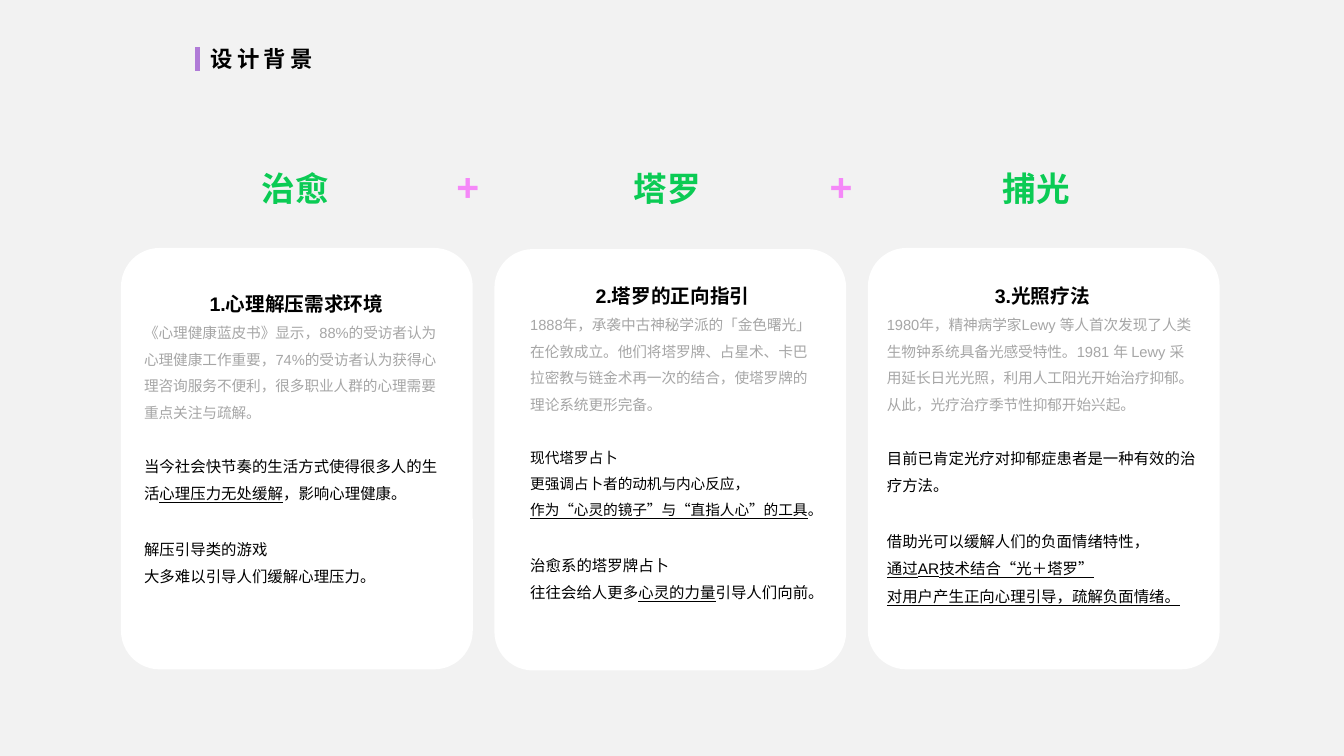
from lxml import etree
from pptx import Presentation
from pptx.dml.color import RGBColor
from pptx.enum.shapes import MSO_CONNECTOR, MSO_SHAPE
from pptx.enum.text import MSO_AUTO_SIZE, PP_ALIGN
from pptx.oxml.ns import qn
from pptx.util import Pt

ROUNDED, STRAIGHT = MSO_SHAPE.ROUNDED_RECTANGLE, MSO_CONNECTOR.STRAIGHT
CENTER, GROW = PP_ALIGN.CENTER, MSO_AUTO_SIZE.SHAPE_TO_FIT_TEXT
BACKGROUND = RGBColor(0xF2, 0xF2, 0xF2)
WHITE = RGBColor(0xFF, 0xFF, 0xFF)
BLACK = RGBColor(0, 0, 0)
GRAY = RGBColor(0xA6, 0xA6, 0xA6)
GREEN = RGBColor(0x0B, 0xCB, 0x54)
PINK = RGBColor(0xF5, 0x88, 0xF8)
PURPLE = RGBColor(0xB0, 0x7B, 0xD7)
LATIN, CJK = "Arial", "Noto Sans CJK SC"

# Body paragraphs: size, space before, runs of (text, underlined)
CARDS = [
    dict(keyword="治愈", keyword_dx=93.6, dy=0, text_box=(9.4, 19.4, 231.8, 226),
         title="1.心理解压需求环境",
         intro="《心理健康蓝皮书》显示，88%的受访者认为心理健康工作重要，74%的受访者认为"
               "获得心理咨询服务不便利，很多职业人群的心理需要重点关注与疏解。",
         body=[(11, 18.8, [("当今社会快节奏的生活方式使得很多人的生活", False),
                           ("心理压力无处缓解", True), ("，影响心理健康。", False)]),
               (11, 19.8, [("解压引导类的游戏", False)]),
               (11, 0, [("大多难以引导人们缓解心理压力。", False)])]),
    dict(keyword="塔罗", keyword_dx=92.6, dy=0.8, text_box=(18.5, 13, 217.4, 242.6),
         title="2.塔罗的正向指引",
         intro="1888年，承袭中古神秘学派的「金色曙光」在伦敦成立。他们将塔罗牌、占星术、"
               "卡巴拉密教与链金术再一次的结合，使塔罗牌的理论系统更形完备。",
         body=[(10.5, 18.8, [("现代塔罗占卜", False)]),
               (10.5, 0, [("更强调占卜者的动机与内心反应，", False)]),
               (10.5, 0, [("作为“心灵的镜子”与“直指人心”的工具", True), ("。", False)]),
               (11, 19.8, [("治愈系的塔罗牌占卜", False)]),
               (11, 0, [("往往会给人更多", False), ("心灵的力量", True),
                        ("引导人们向前。", False)])]),
    dict(keyword="捕光", keyword_dx=89.3, dy=0, text_box=(6.5, 13.7, 236.2, 267),
         title="3.光照疗法",
         intro="1980年，精神病学家Lewy 等人首次发现了人类生物钟系统具备光感受特性。"
               "1981 年 Lewy 采用延长日光光照，利用人工阳光开始治疗抑郁。"
               "从此，光疗治疗季节性抑郁开始兴起。",
         body=[(11, 18.8, [("目前已肯定光疗对抑郁症患者是一种有效的治疗方法。", False)]),
               (11, 19.8, [("借助光可以缓解人们的负面情绪特性，", False)]),
               (11, 0, [("通过AR技术结合“光＋塔罗”", True)]),
               (11, 0, [("对用户产生正向心理引导，疏解负面情绪。", True)])]),
]


def add_run(p, text, size, color, bold=False, underline=False, font=LATIN):
    r = p.add_run()
    r.text = text
    r.font.size, r.font.bold, r.font.name = Pt(size), bold, font
    r.font.color.rgb = color
    if underline:
        r.font.underline = True
    ea = etree.Element(qn("a:ea"), typeface=CJK)
    r.font._element.find(qn("a:latin")).addnext(ea)
    return r


def text_frame(s, x, y, w, h):
    tf = s.shapes.add_textbox(Pt(x), Pt(y), Pt(w), Pt(h)).text_frame
    tf.word_wrap, tf.auto_size = True, GROW
    return tf


def header(s, x, y, w, h):
    # Accent bar and section title
    bar = s.shapes.add_connector(STRAIGHT, Pt(x), Pt(y + 5), Pt(x), Pt(y + 21.6))
    bar.line.color.rgb, bar.line.width = PURPLE, Pt(3)
    etree.SubElement(bar._element.spPr, qn("a:effectLst"))
    p = text_frame(s, x + 2.2, y, w, h).paragraphs[0]
    r = add_run(p, "设计背景", 16, BLACK, bold=True)
    r.font._element.set("spc", "300")


def card(s, x, y, w, h, data):
    # Rounded panel
    y += data["dy"]
    sp = s.shapes.add_shape(ROUNDED, Pt(x), Pt(y), Pt(w), Pt(h))
    sp.adjustments[0] = 0.11
    sp.shadow.inherit = False
    sp.fill.solid()
    sp.fill.fore_color.rgb = WHITE
    sp.line.fill.background()

    # Title, gray introduction and body
    dx, dy, tw, th = data["text_box"]
    tf = text_frame(s, x + dx, y + dy, tw, th)
    p = tf.paragraphs[0]
    p.alignment, p.line_spacing = CENTER, 1.5
    add_run(p, data["title"], 14, BLACK, bold=True)
    p = tf.add_paragraph()
    p.line_spacing = 1.5
    add_run(p, data["intro"], 10.5, GRAY)
    for size, gap, runs in data["body"]:
        p = tf.add_paragraph()
        p.line_spacing, p.space_before = 1.5, Pt(gap)
        for text, underline in runs:
            add_run(p, text, size, BLACK, underline=underline)


def keyword_row(s, x, y, pitch):
    # Green keywords above the cards, joined by plus signs
    for i, data in enumerate(CARDS):
        left = x + i * pitch
        p = text_frame(s, left + data["keyword_dx"], y, 116, 36).paragraphs[0]
        add_run(p, data["keyword"], 24, GREEN, bold=True, font=CJK)
        if i < len(CARDS) - 1:
            p = text_frame(s, left + 232.4, y - 4.3, 46, 41).paragraphs[0]
            add_run(p, "+", 28, PINK, bold=True)


def background_slide(prs):
    s = prs.slides.add_slide(prs.slide_layouts[6])
    s.background.fill.solid()
    s.background.fill.fore_color.rgb = BACKGROUND
    left, pitch = 86.4, 266.75
    header(s, 141.1, 28.8, 171.4, 26.6)
    for i, data in enumerate(CARDS):
        card(s, left + i * pitch, 177.1, 251.3, 301, data)
    keyword_row(s, left, 116.6, pitch)


prs = Presentation()
prs.slide_width, prs.slide_height = Pt(960), Pt(540)
background_slide(prs)
prs.save("out.pptx")
